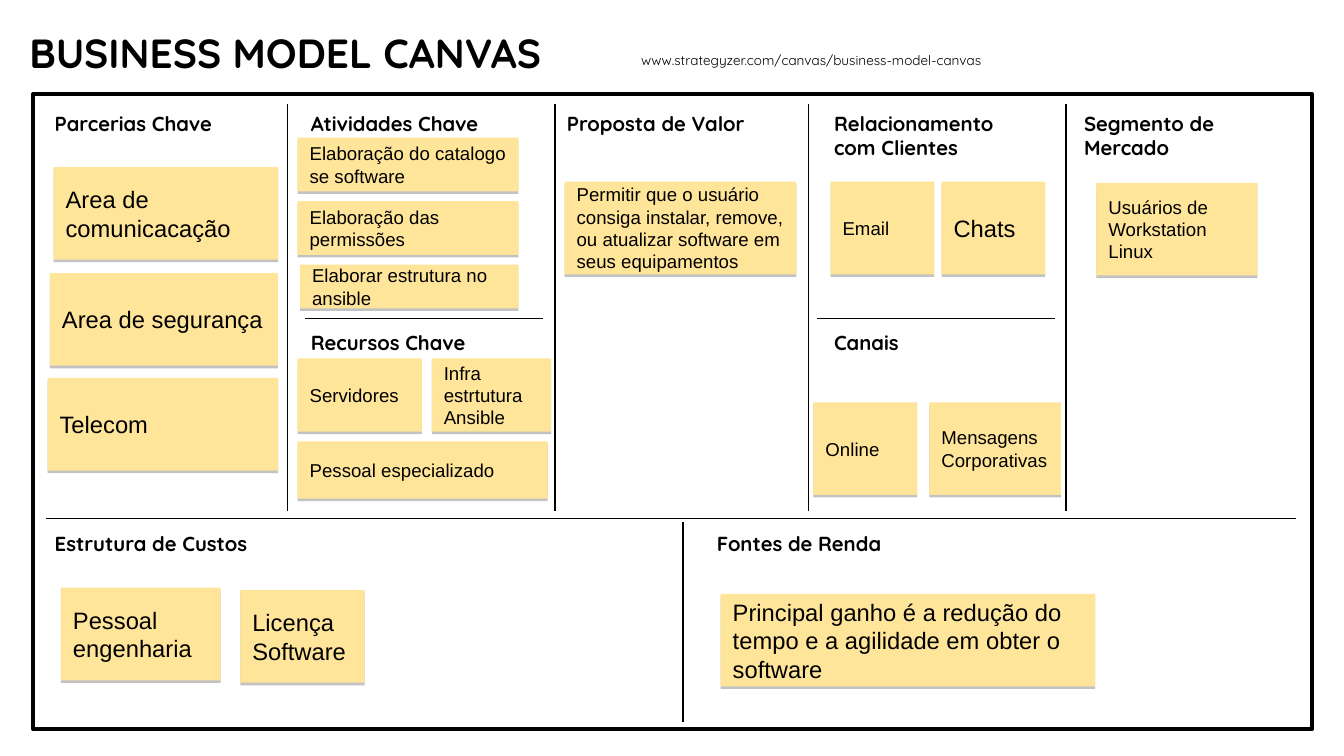
import pptx
import pptx.dml.color
import pptx.enum.shapes
import pptx.enum.text
import pptx.oxml
import pptx.oxml.ns
import pptx.util
from pptx.util import Inches

BLACK = pptx.dml.color.RGBColor(0x00, 0x00, 0x00)
NOTE_YELLOW = pptx.dml.color.RGBColor(0xFF, 0xE5, 0x99)
HEADING_FONT = "Quicksand"
NOTE_FONT = "Arial"
TITLE_ONLY_LAYOUT = 5

COLUMN_TOP, COLUMN_BOTTOM = 0.85, 4.19
ROW_TOP, MIDDLE_TOP, BOTTOM_TOP = 0.81, 2.61, 4.26

# left, top, width, text
HEADINGS = [
    (0.35, ROW_TOP, 1.89, "Parcerias Chave"),
    (2.45, ROW_TOP, 2.1, "Atividades Chave"),
    (4.55, ROW_TOP, 2.05, "Proposta de Valor"),
    (6.74, ROW_TOP, 1.89, "Relacionamento com Clientes"),
    (8.79, ROW_TOP, 1.89, "Segmento de Mercado"),
    (2.45, MIDDLE_TOP, 2.1, "Recursos Chave"),
    (6.74, MIDDLE_TOP, 1.89, "Canais"),
    (0.35, BOTTOM_TOP, 4.68, "Estrutura de Custos"),
    (5.78, BOTTOM_TOP, 4.68, "Fontes de Renda"),
]

# left, top, width, height, text
LARGE_NOTES = [
    (0.44, 1.37, 1.84, 0.76, "Area de comunicacação"),
    (0.41, 2.24, 1.87, 0.76, "Area de segurança"),
    (0.39, 3.1, 1.89, 0.76, "Telecom"),
    (7.72, 1.49, 0.85, 0.76, "Chats"),
    (0.5, 4.82, 1.31, 0.76, "Pessoal engenharia"),
    (1.97, 4.84, 1.02, 0.76, "Licença Software"),
    (5.91, 4.87, 3.07, 0.76,
     "Principal ganho é a redução do tempo e a agilidade em obter o software"),
]
SMALL_NOTES = [
    (2.44, 1.13, 1.81, 0.44, "Elaboração do catalogo se software"),
    (2.44, 1.65, 1.81, 0.44, "Elaboração das permissões"),
    (2.46, 2.17, 1.79, 0.36, "Elaborar estrutura no ansible"),
    (2.44, 2.94, 1.02, 0.6, "Servidores"),
    (3.54, 2.94, 0.98, 0.6, "Infra estrtutura Ansible"),
    (2.44, 3.62, 2.05, 0.47, "Pessoal especializado"),
    (4.63, 1.49, 1.9, 0.76,
     "Permitir que o usuário consiga instalar, remove, ou atualizar software em seus equipamentos"),
    (6.81, 1.49, 0.85, 0.76, "Email"),
    (6.67, 3.3, 0.85, 0.76, "Online"),
    (7.62, 3.3, 1.08, 0.76, "Mensagens Corporativas"),
    (8.99, 1.5, 1.32, 0.76, "Usuários de Workstation Linux"),
]


def write_text(shape, text, size, font_name, bold=False, middle=False, inset=0.1):
    frame = shape.text_frame
    frame.text = text
    frame.word_wrap = True
    frame.auto_size = pptx.enum.text.MSO_AUTO_SIZE.NONE
    anchors = pptx.enum.text.MSO_ANCHOR
    frame.vertical_anchor = anchors.MIDDLE if middle else anchors.TOP
    frame.margin_left = frame.margin_right = Inches(inset)
    frame.margin_top = frame.margin_bottom = Inches(inset)
    para = frame.paragraphs[0]
    para.alignment = pptx.enum.text.PP_ALIGN.LEFT
    font = para.runs[0].font
    font.size = pptx.util.Pt(size)
    font.name = font_name
    font.bold = bold
    font.color.rgb = BLACK
    return para


def add_title(page, text):
    title = page.shapes.title
    title.left, title.top = Inches(0.2), Inches(0.18)
    title.width, title.height = Inches(9.23), Inches(0.5)
    write_text(title, text, 24, HEADING_FONT, bold=True, middle=True, inset=0.04)


def add_label(page, left, top, width, height, text, size, bold):
    box = page.shapes.add_textbox(Inches(left), Inches(top), Inches(width), Inches(height))
    return write_text(box, text, size, HEADING_FONT, bold)


def add_rectangle(page, left, top, width, height):
    shape = page.shapes.add_shape(
        pptx.enum.shapes.MSO_SHAPE.RECTANGLE,
        Inches(left), Inches(top), Inches(width), Inches(height))
    shape.shadow.inherit = False
    return shape


def add_frame(page):
    frame = add_rectangle(page, 0.27, 0.77, 10.49, 5.21)
    frame.fill.background()
    frame.line.color.rgb = BLACK
    frame.line.width = pptx.util.Pt(2.25)


def add_divider(page, x1, y1, x2, y2):
    line = page.shapes.add_connector(
        pptx.enum.shapes.MSO_CONNECTOR.STRAIGHT,
        Inches(x1), Inches(y1), Inches(x2), Inches(y2))
    line.line.color.rgb = BLACK
    line.line.width = pptx.util.Pt(0.75)
    line._element.spPr.append(pptx.oxml.parse_xml(
        f'<a:effectLst {pptx.oxml.ns.nsdecls("a")}/>'))


def add_note(page, left, top, width, height, text, size):
    """Add a sticky note with a hard shadow below it."""
    note = add_rectangle(page, left, top, width, height)
    note.fill.solid()
    note.fill.fore_color.rgb = NOTE_YELLOW
    note.line.fill.background()
    effects = note._element.spPr.find(pptx.oxml.ns.qn("a:effectLst"))
    effects.append(pptx.oxml.parse_xml(
        f'<a:outerShdw {pptx.oxml.ns.nsdecls("a")} blurRad="0" dist="19050" '
        'dir="5400000" algn="bl" rotWithShape="0"><a:srgbClr val="000000">'
        '<a:alpha val="24000"/></a:srgbClr></a:outerShdw>'))
    write_text(note, text, size, NOTE_FONT, middle=True)


def main():
    deck = pptx.Presentation()
    deck.slide_width, deck.slide_height = Inches(11.02), Inches(6.2)
    page = deck.slides.add_slide(deck.slide_layouts[TITLE_ONLY_LAYOUT])

    add_title(page, "BUSINESS MODEL CANVAS")
    address = add_label(page, 5.16, 0.35, 3.47, 0.31,
                        "www.strategyzer.com/canvas/business-model-canvas", 8, False)
    address.line_spacing = 0.8

    add_frame(page)
    for x in (2.36, 4.55, 6.63, 8.74):
        add_divider(page, x, COLUMN_TOP, x, COLUMN_BOTTOM)
    for left in (2.5, 6.7):
        add_divider(page, left, MIDDLE_TOP, left + 1.95, MIDDLE_TOP)
    add_divider(page, 0.38, 4.25, 10.63, 4.25)
    add_divider(page, 5.6, 4.28, 5.6, 5.92)

    for left, top, width, text in HEADINGS:
        add_label(page, left, top, width, 0.6, text, 12, True)
    for size, notes in ((14, LARGE_NOTES), (11, SMALL_NOTES)):
        for note in notes:
            add_note(page, *note, size)

    deck.save("out.pptx")


if __name__ == "__main__":
    main()
